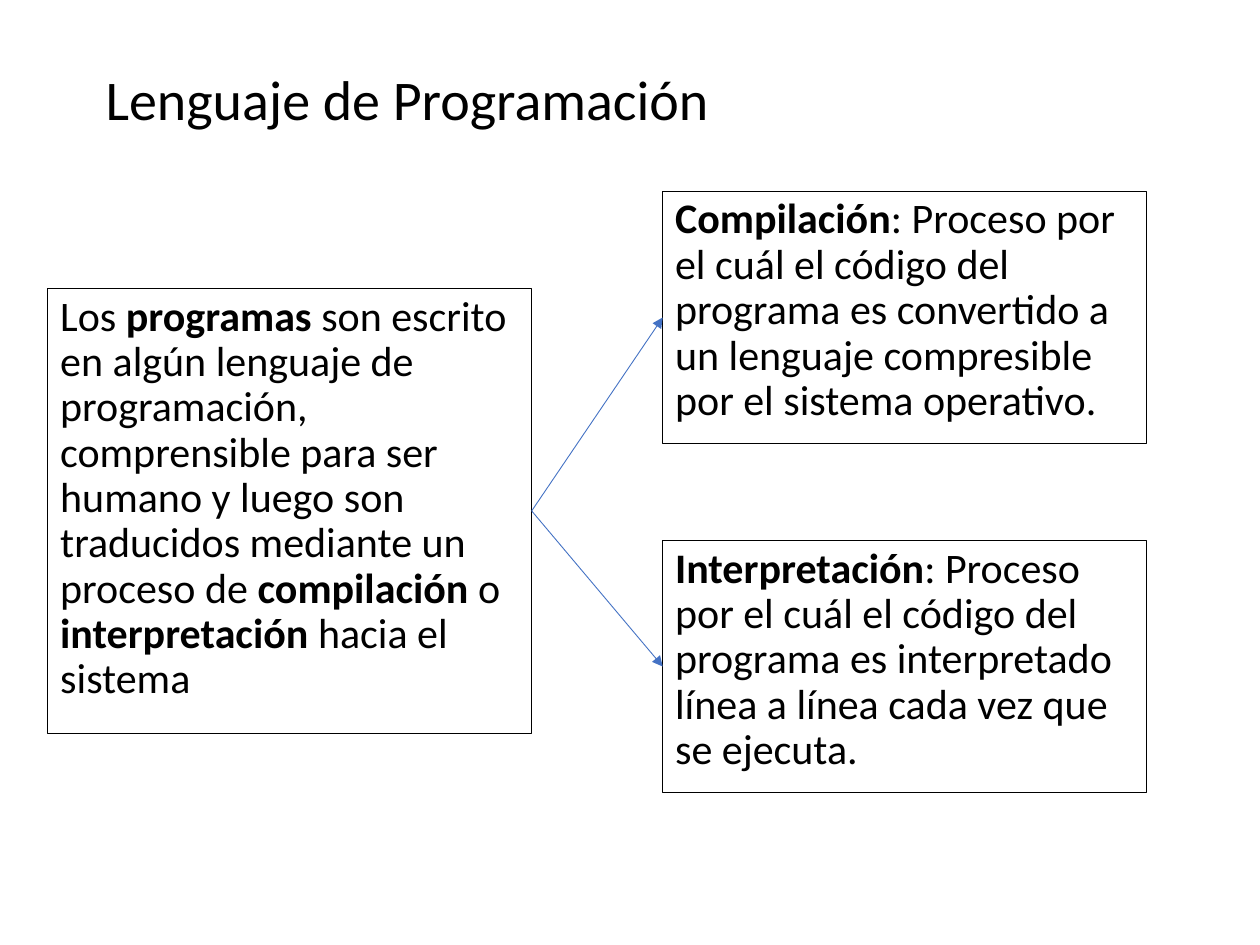
from dataclasses import dataclass
from typing import Optional

from pptx import Presentation
from pptx.dml.color import RGBColor
from pptx.enum.shapes import MSO_CONNECTOR, MSO_SHAPE
from pptx.enum.text import MSO_ANCHOR, MSO_AUTO_SIZE, PP_ALIGN
from pptx.oxml.ns import qn
from pptx.util import Inches, Pt
from lxml.etree import SubElement


@dataclass(frozen=True)
class Theme:
    font: str = "Calibri"
    text: RGBColor = RGBColor(0x00, 0x00, 0x00)
    paper: RGBColor = RGBColor(0xFF, 0xFF, 0xFF)
    arrow: RGBColor = RGBColor(0x44, 0x72, 0xC4)
    title_size: Pt = Pt(32)
    body_size: Pt = Pt(24)
    border: Pt = Pt(0.75)
    arrow_width: Pt = Pt(0.5)


@dataclass(frozen=True)
class Phrase:
    text: str
    bold: bool = False


@dataclass(frozen=True)
class Box:
    left: float
    top: float
    height: float
    phrases: tuple[Phrase, ...]
    fill: Optional[RGBColor] = None


THEME = Theme()
BOX_WIDTH = 3.84
RIGHT_COLUMN = 5.26

PROGRAMS = Box(0.38, 2.29, 3.53, (
    Phrase("Los "),
    Phrase("programas", True),
    Phrase(" son escrito en algún lenguaje de programación, comprensible para "
           "ser humano y luego son traducidos mediante un proceso de "),
    Phrase("compilación", True),
    Phrase(" o "),
    Phrase("interpretación", True),
    Phrase(" hacia el sistema"),
))
PROCESSES = (
    Box(RIGHT_COLUMN, 1.52, 2, (
        Phrase("Compilación", True),
        Phrase(": Proceso por el cuál el código del programa es convertido a "
               "un lenguaje compresible por el sistema operativo."),
    ), THEME.paper),
    Box(RIGHT_COLUMN, 4.29, 2, (
        Phrase("Interpretación", True),
        Phrase(": Proceso por el cuál el código del programa es interpretado "
               "línea a línea cada vez que se ejecuta."),
    )),
)


def style_run(r, size: Pt, bold: bool = False) -> None:
    r.font.name = THEME.font
    r.font.size = size
    r.font.bold = bold
    r.font.color.rgb = THEME.text


def add_title(s, text: str) -> None:
    sp = s.shapes.add_textbox(Inches(0.74), Inches(0.46), Inches(5.04), Inches(0.64))
    tf = sp.text_frame
    tf.word_wrap = False
    tf.auto_size = MSO_AUTO_SIZE.SHAPE_TO_FIT_TEXT
    tf.text = text
    style_run(tf.paragraphs[0].runs[0], THEME.title_size)


def add_box(s, box: Box):
    sp = s.shapes.add_shape(MSO_SHAPE.RECTANGLE, Inches(box.left), Inches(box.top),
                            Inches(BOX_WIDTH), Inches(box.height))
    sp.shadow.inherit = False
    if box.fill is None:
        sp.fill.background()
    else:
        sp.fill.solid()
        sp.fill.fore_color.rgb = box.fill
    sp.line.color.rgb = THEME.text
    sp.line.width = THEME.border
    tf = sp.text_frame
    tf.word_wrap = True
    tf.vertical_anchor = MSO_ANCHOR.TOP
    p = tf.paragraphs[0]
    p.alignment = PP_ALIGN.LEFT
    p.line_spacing = 0.9
    for phrase in box.phrases:
        r = p.add_run()
        r.text = phrase.text
        style_run(r, THEME.body_size, phrase.bold)
    return sp


def add_arrow(s, start, end) -> None:
    cxn = s.shapes.add_connector(MSO_CONNECTOR.STRAIGHT, 0, 0, 0, 0)
    cxn.begin_connect(start, 3)
    cxn.end_connect(end, 1)
    cxn.line.color.rgb = THEME.arrow
    cxn.line.width = THEME.arrow_width
    sp_pr = cxn._element.spPr
    SubElement(sp_pr.find(qn("a:ln")), qn("a:tailEnd"), type="triangle")
    SubElement(sp_pr, qn("a:effectLst"))


def main() -> None:
    prs = Presentation()
    prs.slide_width = Inches(10)
    prs.slide_height = Inches(7.5)
    s = prs.slides.add_slide(prs.slide_layouts[6])
    add_title(s, "Lenguaje de Programación")
    source = add_box(s, PROGRAMS)
    targets = [add_box(s, box) for box in PROCESSES]
    for target in targets:
        add_arrow(s, source, target)
    prs.save("out.pptx")


if __name__ == "__main__":
    main()
